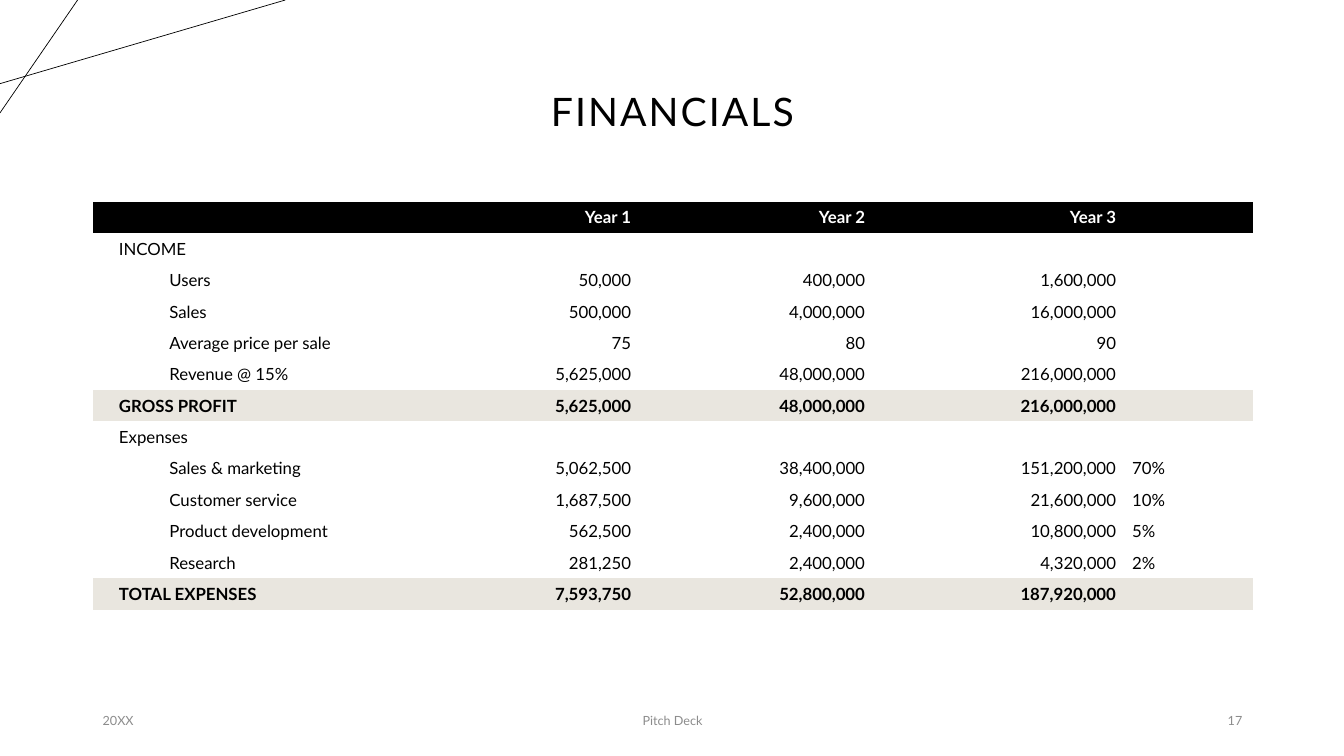
"""Build the Financials slide: title, three-year table, corner lines and footer."""
import dataclasses
import typing

import lxml.etree
import pptx
import pptx.dml.color
import pptx.enum.shapes
import pptx.enum.text
import pptx.oxml.ns
import pptx.util

Inches = pptx.util.Inches
Pt = pptx.util.Pt
qn = pptx.oxml.ns.qn
ALIGN = pptx.enum.text.PP_ALIGN
MIDDLE = pptx.enum.text.MSO_ANCHOR.MIDDLE

COLORS = {"black": "000000", "white": "FFFFFF", "gray": "8C8C8C", "sand": "E9E6DF"}
NO_STYLE = "{2D5ABB26-0587-4C30-8999-92F81FD0307C}"
COL_WIDTHS = (3.54, 1.88, 2.32, 2.49, 1.28)
TABLE_HEIGHT = 4.05


@dataclasses.dataclass(frozen=True)
class Label:
    text: str
    left: float
    top: float
    width: float
    height: float
    align: ALIGN
    size: float = 9
    color: str = "gray"
    spacing: float = 0
    line_spacing: float = 1.0


@dataclasses.dataclass(frozen=True)
class RowStyle:
    fill: typing.Optional[str] = None
    color: str = "black"
    bold: bool = False
    indent: float = 0


@dataclasses.dataclass(frozen=True)
class CornerLine:
    x1: float
    y1: float
    x2: float
    y2: float


HEADER = RowStyle(fill="black", color="white", bold=True)
SECTION = RowStyle()
ITEM = RowStyle(indent=0.5)
TOTAL = RowStyle(fill="sand", bold=True)

ROWS = [
    (HEADER, ("", "Year 1", "Year 2", "Year 3", "")),
    (SECTION, ("INCOME", "", "", "", "")),
    (ITEM, ("Users", "50,000", "400,000", "1,600,000", "")),
    (ITEM, ("Sales", "500,000", "4,000,000", "16,000,000", "")),
    (ITEM, ("Average price per sale", "75", "80", "90", "")),
    (ITEM, ("Revenue @ 15%", "5,625,000", "48,000,000", "216,000,000", "")),
    (TOTAL, ("GROSS PROFIT", "5,625,000", "48,000,000", "216,000,000", "")),
    (SECTION, ("Expenses", "", "", "", "")),
    (ITEM, ("Sales & marketing", "5,062,500", "38,400,000", "151,200,000", "70%")),
    (ITEM, ("Customer service", "1,687,500", "9,600,000", "21,600,000", "10%")),
    (ITEM, ("Product development", "562,500", "2,400,000", "10,800,000", "5%")),
    (ITEM, ("Research", "281,250", "2,400,000", "4,320,000", "2%")),
    (TOTAL, ("TOTAL EXPENSES", "7,593,750", "52,800,000", "187,920,000", "")),
]

CORNER_LINES = [CornerLine(0, 0.83, 2.83, 0), CornerLine(0.77, 0, 0, 1.12)]

LABELS = [
    Label("FINANCIALS", 0.92, 0.4, 11.5, 1.45, ALIGN.CENTER, 28, "black", 1.5, 0.9),
    Label("20XX", 0.92, 6.95, 3, 0.4, ALIGN.LEFT),
    Label("Pitch Deck", 4.42, 6.95, 4.5, 0.4, ALIGN.CENTER),
    Label("17", 9.42, 6.95, 3, 0.4, ALIGN.RIGHT),
]


def rgb(name: str) -> pptx.dml.color.RGBColor:
    """Return the named colour."""
    return pptx.dml.color.RGBColor.from_string(COLORS[name])


def set_attrs(obj: typing.Any, values: typing.Dict[str, typing.Any]) -> None:
    """Set each attribute in values on obj."""
    for name, value in values.items():
        setattr(obj, name, value)


def add_run(p: typing.Any, text: str, size: float, color: str, bold: bool = False) -> typing.Any:
    """Add a formatted run to a paragraph."""
    r = p.add_run()
    r.text = text
    set_attrs(r.font, {"name": "Lato", "size": Pt(size), "bold": bold})
    r.font.color.rgb = rgb(color)
    return r


def add_line(s: typing.Any, line: CornerLine) -> None:
    """Draw a thin corner line."""
    ends = [Inches(v) for v in dataclasses.astuple(line)]
    cx = s.shapes.add_connector(pptx.enum.shapes.MSO_CONNECTOR.STRAIGHT, *ends)
    cx.line.color.rgb = rgb("black")
    cx.line.width = Pt(0.5)
    lxml.etree.SubElement(cx._element.spPr, qn("a:effectLst"))


def add_label(s: typing.Any, label: Label) -> None:
    """Add a one-line text box."""
    box = (label.left, label.top, label.width, label.height)
    sp = s.shapes.add_textbox(*[Inches(v) for v in box])
    tf = sp.text_frame
    set_attrs(tf, {"word_wrap": True, "vertical_anchor": MIDDLE})
    p = tf.paragraphs[0]
    set_attrs(p, {"alignment": label.align, "line_spacing": label.line_spacing})
    r = add_run(p, label.text, label.size, label.color)
    if label.spacing:
        r.font._element.set("spc", str(int(label.spacing * 100)))


def fill_cell(cell: typing.Any, text: str, col: int, style: RowStyle) -> None:
    """Format one table cell and write its text."""
    set_attrs(cell, {
        "vertical_anchor": MIDDLE,
        "margin_left": Inches(0.08 if col else 0.26),
        "margin_right": Inches(0.08),
        "margin_top": Inches(0.04),
        "margin_bottom": Inches(0.04),
    })
    if style.fill:
        cell.fill.solid()
        cell.fill.fore_color.rgb = rgb(style.fill)
    else:
        cell.fill.background()
    p = cell.text_frame.paragraphs[0]
    p.alignment = ALIGN.RIGHT if col in (1, 2, 3) else ALIGN.LEFT
    if col == 0 and style.indent:
        p.level = 1
        p._p.get_or_add_pPr().set("marL", str(Inches(style.indent)))
    if text:
        add_run(p, text, 12, style.color, style.bold)
    else:
        lxml.etree.SubElement(p._p, qn("a:endParaRPr"), sz="1200")


def add_financials(s: typing.Any) -> None:
    """Add the income and expenses table."""
    frame = s.shapes.add_table(len(ROWS), len(COL_WIDTHS), Inches(0.92), Inches(2),
                               Inches(sum(COL_WIDTHS)), Inches(TABLE_HEIGHT))
    table = frame.table
    set_attrs(table, {"first_row": False, "horz_banding": False})
    table._tbl.tblPr.find(qn("a:tableStyleId")).text = NO_STYLE
    for column, width in zip(table.columns, COL_WIDTHS):
        column.width = Inches(width)
    for i, (style, texts) in enumerate(ROWS):
        table.rows[i].height = Inches(TABLE_HEIGHT / len(ROWS))
        for col, text in enumerate(texts):
            fill_cell(table.cell(i, col), text, col, style)


def main() -> None:
    """Build and save the slide."""
    prs = pptx.Presentation()
    set_attrs(prs, {"slide_width": Inches(13.33), "slide_height": Inches(7.5)})
    s = prs.slides.add_slide(prs.slide_layouts[6])
    for line in CORNER_LINES:
        add_line(s, line)
    for label in LABELS:
        add_label(s, label)
    add_financials(s)
    prs.save("out.pptx")


if __name__ == "__main__":
    main()
